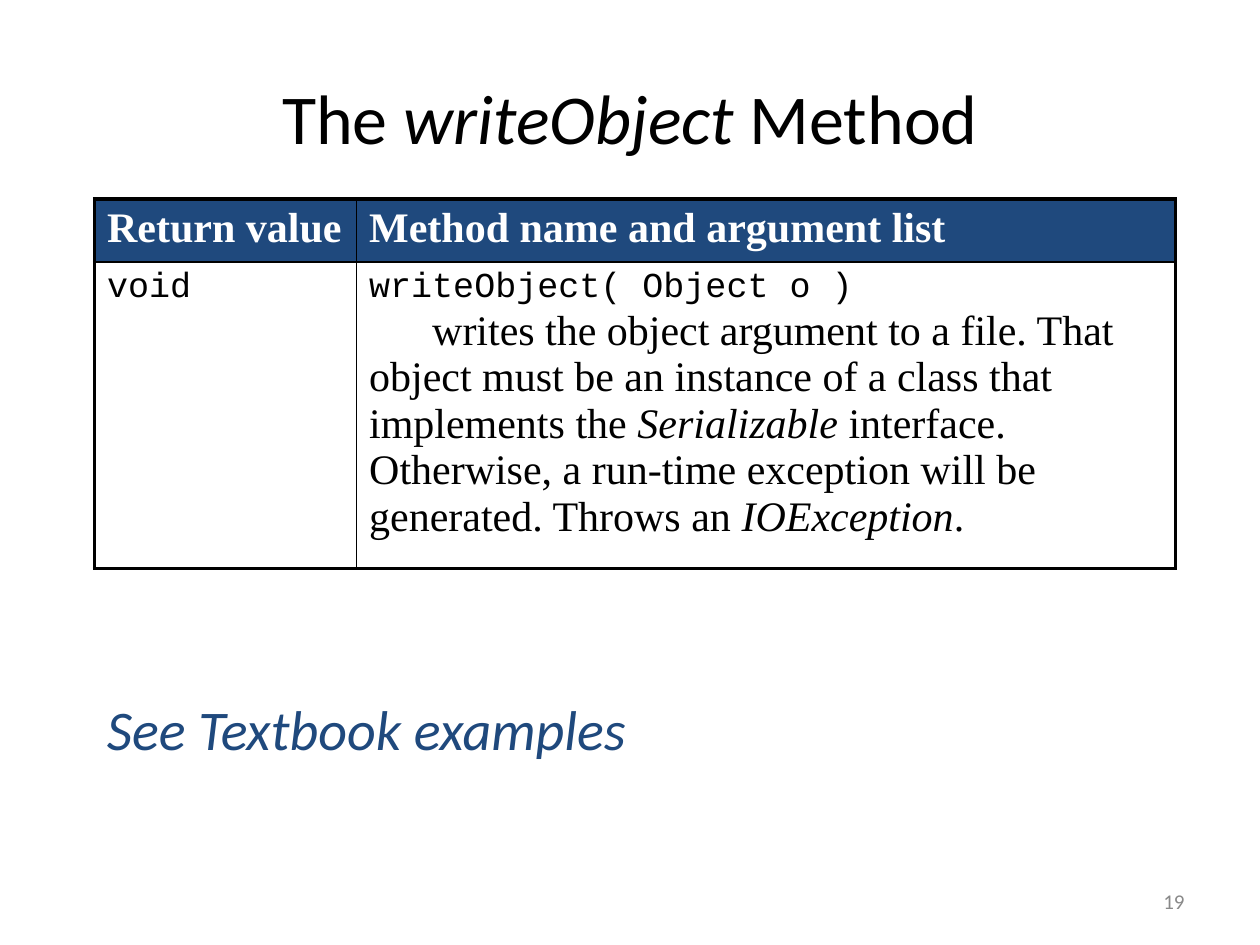
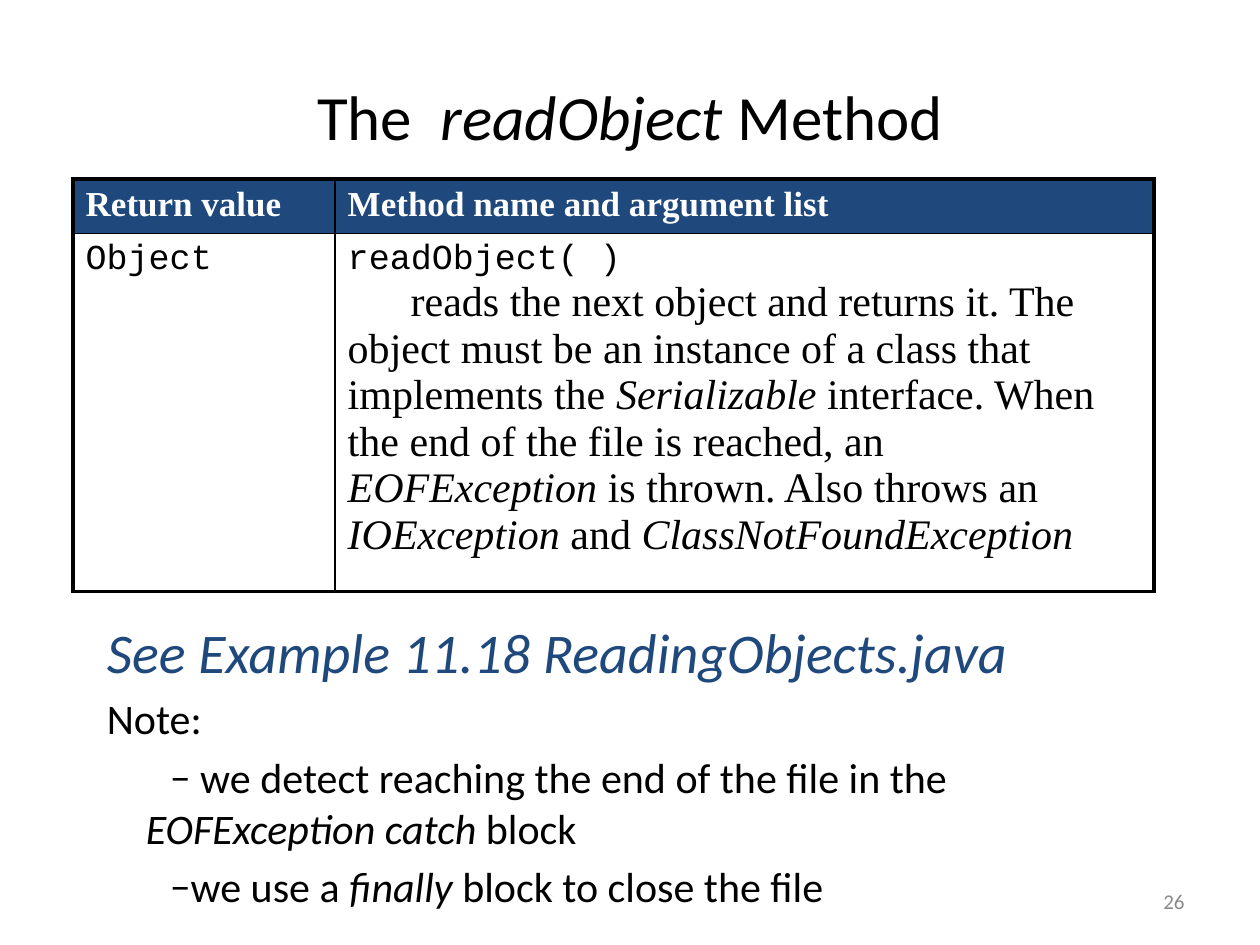
from dataclasses import dataclass

from lxml import etree
from pptx import Presentation
from pptx import util as u
from pptx.dml import color
from pptx.enum import text as t
from pptx.oxml import ns


def rgb(value):
    return color.RGBColor.from_string(value)


@dataclass(frozen=True)
class Theme:
    navy: str = "1F497D"
    black: str = "000000"
    white: str = "FFFFFF"
    grey: str = "898989"
    sans: str = "Calibri"
    serif: str = "Times New Roman"
    mono: str = "Courier New"
    large: int = 32
    normal: int = 24
    code: int = 20
    small: int = 12
    outer_line: float = 2.25
    inner_line: float = 1
    space_ratio: float = 0.2


THEME = Theme()
STYLES = {
    "title": dict(name=THEME.sans, color=THEME.black),
    "reference": dict(name=THEME.sans, size=THEME.large, color=THEME.navy, italic=True),
    "note": dict(name=THEME.sans, size=THEME.normal, color=THEME.black),
    "header": dict(name=THEME.serif, color=THEME.white, bold=True),
    "code": dict(name=THEME.mono, size=THEME.code, color=THEME.black),
    "prose": dict(name=THEME.serif, size=THEME.normal, color=THEME.black),
    "number": dict(name=THEME.sans, size=THEME.small, color=THEME.grey),
}


def apply_format(target, values):
    for key, value in values.items():
        setattr(target, key, value)


def format_font(font, style):
    values = dict(style)
    font.color.rgb = rgb(values.pop("color"))
    values["size"] = u.Pt(values["size"])
    apply_format(font, values)


def write_para(para, words, style, align=t.PP_ALIGN.LEFT, before=0):
    """Words between asterisks are set in italics."""
    apply_format(para, dict(alignment=align, space_before=u.Pt(before)))
    for index, part in enumerate(words.split("*")):
        if part:
            span = para.add_run()
            span.text = part
            format_font(span.font, {**style, "italic": style.get("italic", False) or index % 2 == 1})


def indent_para(para, left, first):
    props = para._p.get_or_add_pPr()
    props.set("marL", str(u.Inches(left)))
    props.set("indent", str(u.Inches(first)))
    return props


def add_text_box(page, box, anchor=t.MSO_ANCHOR.TOP):
    frame = page.shapes.add_textbox(*map(u.Inches, box)).text_frame
    apply_format(frame, dict(word_wrap=True, vertical_anchor=anchor))
    return frame


def place_title(page, box, words, size):
    title = page.shapes.title
    apply_format(title, dict(zip(("left", "top", "width", "height"), map(u.Inches, box))))
    frame = title.text_frame
    apply_format(frame, dict(auto_size=t.MSO_AUTO_SIZE.NONE, word_wrap=True,
                             vertical_anchor=t.MSO_ANCHOR.MIDDLE))
    write_para(frame.paragraphs[0], words, {**STYLES["title"], "size": size}, t.PP_ALIGN.CENTER)


def border_cell(cell, outer_sides):
    props = cell._tc.get_or_add_tcPr()
    for index, side in enumerate("LRTB"):
        width = THEME.outer_line if side in outer_sides else THEME.inner_line
        line = etree.Element(ns.qn(f"a:ln{side}"), w=str(u.Pt(width)))
        fill = etree.SubElement(line, ns.qn("a:solidFill"))
        etree.SubElement(fill, ns.qn("a:srgbClr"), val=THEME.black)
        props.insert(index, line)


def add_method_table(page, box, header_height, header_size, returns, signature, description):
    left, top, width, height = box
    table = page.shapes.add_table(2, 2, *map(u.Inches, box)).table
    apply_format(table, dict(first_row=False, horz_banding=False))
    return_width = 2.08
    for column, size in zip(table.columns, (return_width, width - return_width)):
        column.width = u.Inches(size)
    for row, size in zip(table.rows, (header_height, height - header_height)):
        row.height = u.Inches(size)

    header = {**STYLES["header"], "size": header_size}
    contents = [
        [("Return value", header), ("Method name and argument list", header)],
        [(returns, STYLES["code"]), (signature, STYLES["code"])],
    ]
    for row, entries in enumerate(contents):
        for column, (words, style) in enumerate(entries):
            cell = table.cell(row, column)
            cell.fill.solid()
            cell.fill.fore_color.rgb = rgb(THEME.white if row else THEME.navy)
            border_cell(cell, "TB"[row] + "LR"[column])
            write_para(cell.text_frame.paragraphs[0], words, style)

    para = table.cell(1, 1).text_frame.add_paragraph()
    indent_para(para, 0, 0.5)
    write_para(para, description, STYLES["prose"])


def add_notes_area(page, box, reference, note=None, points=()):
    frame = add_text_box(page, box)
    write_para(frame.paragraphs[0], reference, STYLES["reference"])
    before = THEME.normal * THEME.space_ratio
    if note:
        write_para(frame.add_paragraph(), note, STYLES["note"], before=before)
    for point in points:
        para = frame.add_paragraph()
        props = indent_para(para, 0.31, 0.19)
        etree.SubElement(props, ns.qn("a:buFont"), typeface=THEME.sans)
        etree.SubElement(props, ns.qn("a:buChar"), char="–")
        write_para(para, point, STYLES["note"], before=before)


def add_page_number(page, number):
    frame = add_text_box(page, (7.17, 6.95, 2.33, 0.4), t.MSO_ANCHOR.MIDDLE)
    write_para(frame.paragraphs[0], number, STYLES["number"], t.PP_ALIGN.RIGHT)


def add_method_page(deck, title, table, notes, number):
    page = deck.slides.add_slide(deck.slide_layouts[5])
    place_title(page, **title)
    add_notes_area(page, **notes)
    add_method_table(page, **table)
    add_page_number(page, number)


PAGES = [
    dict(
        title=dict(box=(0.5, 0.3, 9, 1.25), words="The *writeObject* Method", size=40),
        table=dict(
            box=(0.75, 1.58, 8.58, 2.93), header_height=0.5, header_size=24,
            returns="void", signature="writeObject( Object o )",
            description="writes the object argument to a file. That object must be an instance "
                        "of a class that implements the *Serializable* interface. Otherwise, a "
                        "run-time exception will be generated. Throws an *IOException*.",
        ),
        notes=dict(box=(0.75, 5.46, 8.5, 0.7), reference="See Textbook examples"),
        number="19",
    ),
    dict(
        title=dict(box=(0.75, 0.58, 8.5, 0.67), words="The  *readObject* Method", size=36),
        table=dict(
            box=(0.58, 1.42, 8.58, 3.27), header_height=0.43, header_size=20,
            returns="Object", signature="readObject( )",
            description="reads the next object and returns it. The object must be an instance "
                        "of a class that implements the *Serializable* interface. When the end "
                        "of the file is reached, an *EOFException* is thrown. Also throws an "
                        "*IOException* and *ClassNotFoundException*",
        ),
        notes=dict(
            box=(0.75, 4.85, 8.5, 2.33), reference="See Example 11.18 ReadingObjects.java",
            note="Note:",
            points=(" we detect reaching the end of the file in the *EOFException catch* block",
                    "we use a *finally* block to close the file"),
        ),
        number="26",
    ),
]


def main():
    deck = Presentation()
    apply_format(deck, dict(slide_width=u.Inches(10), slide_height=u.Inches(7.5)))
    for content in PAGES:
        add_method_page(deck, **content)
    deck.save("out.pptx")


if __name__ == "__main__":
    main()
